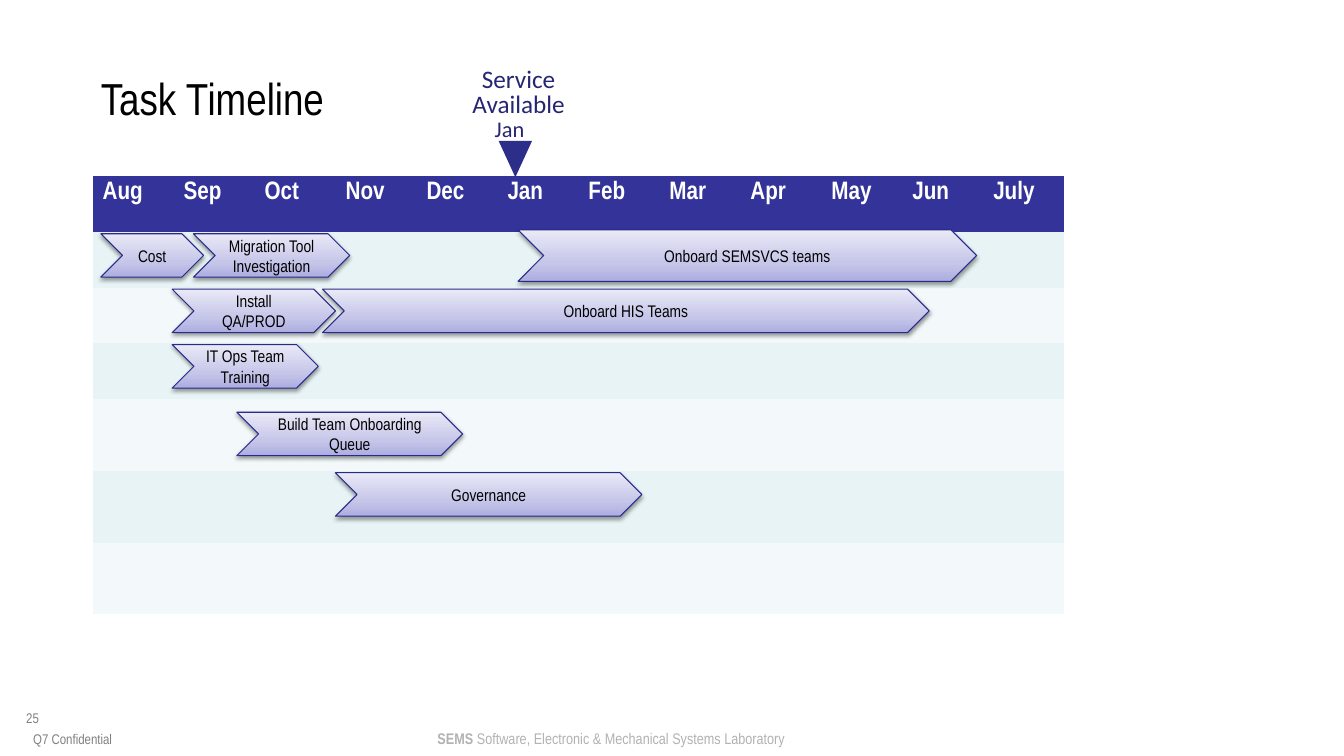
from dataclasses import dataclass

from pptx import Presentation
from pptx.dml.color import RGBColor
from pptx.enum.shapes import MSO_SHAPE
from pptx.enum.text import MSO_ANCHOR, MSO_AUTO_SIZE, PP_ALIGN
from pptx.oxml import parse_xml
from pptx.oxml.ns import nsdecls, qn
from pptx.util import Pt

CHEVRON, TRIANGLE = MSO_SHAPE.CHEVRON, MSO_SHAPE.ISOSCELES_TRIANGLE
TOP, MIDDLE, BOTTOM = MSO_ANCHOR.TOP, MSO_ANCHOR.MIDDLE, MSO_ANCHOR.BOTTOM
LEFT, CENTER = PP_ALIGN.LEFT, PP_ALIGN.CENTER
NO_FIT = MSO_AUTO_SIZE.NONE
NO_STYLE = "{2D5ABB26-0587-4C30-8999-92F81FD0307C}"


@dataclass(frozen=True)
class Theme:
    narrow: str = "Arial Narrow"
    round: str = "Calibri"
    black: str = "000000"
    white: str = "FFFFFF"
    head: str = "333399"
    bands: tuple = ("E7F3F4", "F3F9FA")
    edge: str = "2A2A89"
    mark: str = "2D2D8A"
    note: str = "262673"
    gray: str = "808080"
    pale: str = "B2B2B2"
    blend: tuple = ((0, "ADADE1"), (35, "C6C6E9"), (100, "E9E9F7"))
    title: int = 32
    month: int = 18
    date: int = 16
    task: int = 12
    lab: int = 11
    foot: int = 10


T = Theme()

TITLE = "Task Timeline"
MONTHS = ["Aug", "Sep", "Oct", "Nov", "Dec", "Jan",
          "Feb", "Mar", "Apr", "May", "Jun", "July"]
ROWS = [39.7] * 4 + [51.4] * 3
GRID = (66.2, 126, 694.1, sum(ROWS))

# Lane: top, height, then tasks as (name, left, width)
LANES = [
    (167, 31, [("Cost", 72, 73.4), ("Migration Tool Investigation", 138.2, 111.6)]),
    (164.2, 36.7, [("Onboard SEMSVCS teams", 370, 327.6)]),
    (206.6, 31, [("Install QA/PROD", 123, 116.6), ("Onboard HIS Teams", 230.4, 433.4)]),
    (246.2, 31, [("IT Ops Team Training", 123, 104.4)]),
    (294.5, 31, [("Build Team Onboarding Queue", 169.2, 161.3)]),
    (337.7, 31, [("Governance", 239.6, 218.9)]),
]

# Label: box, runs as (text, bold), font, size, colour, align, anchor, side inset, wrap, spacing
LABELS = [
    ((319.7, 49, 101.5, 35.3), [("Service Available", False)],
     T.round, T.month, T.note, CENTER, BOTTOM, 7.2, True, 0.8),
    ((346.3, 82.1, 35.3, 19.4), [("Jan", False)],
     T.round, T.date, T.note, LEFT, TOP, 7.2, False, 1),
    ((18.7, 506.9, 51.1, 18), [("25", False)],
     T.narrow, T.foot, T.gray, LEFT, TOP, 0, True, 1),
    ((7.9, 517.7, 87.8, 15.8), [("Q7 Confidential", False)],
     T.narrow, T.foot, T.gray, CENTER, BOTTOM, 0, True, 1),
    ((312.5, 520.6, 252, 13.7),
     [("SEMS", True), (" Software, Electronic & Mechanical Systems Laboratory", False)],
     T.narrow, T.lab, T.pale, LEFT, TOP, 0, False, 1),
]


def rgb(code):
    return RGBColor.from_string(code)


def place(box):
    return [Pt(n) for n in box]


def write(frame, runs, font, size, color, align=LEFT):
    para = frame.paragraphs[0]
    para.alignment = align
    for text, bold in runs:
        run = para.add_run()
        run.text = text
        run.font.name, run.font.size, run.font.bold = font, Pt(size), bold
        run.font.color.rgb = rgb(color)
    return para


def set_frame(frame, anchor, side=0, wrap=True):
    frame.margin_left = frame.margin_right = Pt(side)
    frame.margin_top = frame.margin_bottom = 0
    frame.vertical_anchor, frame.word_wrap = anchor, wrap
    frame.auto_size = NO_FIT


def add_title(slide):
    title = slide.shapes.title
    title.left, title.top, title.width, title.height = place((72, 49, 864, 41.8))
    set_frame(title.text_frame, MIDDLE)
    write(title.text_frame, [(TITLE, False)], T.narrow, T.title, T.black)


def add_grid(slide):
    frame = slide.shapes.add_table(len(ROWS), len(MONTHS), *place(GRID))
    table = frame.table
    table.first_row = table.horz_banding = False
    table._tbl.tblPr.find(qn("a:tableStyleId")).text = NO_STYLE
    for col in table.columns:
        col.width = Pt(GRID[2] / len(MONTHS))
    for i, (row, height) in enumerate(zip(table.rows, ROWS)):
        row.height = Pt(height)
        for cell in row.cells:
            cell.fill.solid()
            cell.fill.fore_color.rgb = rgb(T.bands[(i - 1) % 2] if i else T.head)
    for cell, month in zip(table.rows[0].cells, MONTHS):
        write(cell.text_frame, [(month, True)], T.narrow, T.month, T.white)


def add_task(slide, name, box):
    task = slide.shapes.add_shape(CHEVRON, *place(box))
    stops = "".join(f'<a:gs pos="{pos * 1000}"><a:srgbClr val="{code}"/></a:gs>'
                    for pos, code in T.blend)
    props = task._element.spPr
    props.find(qn("a:prstGeom")).addnext(parse_xml(
        f'<a:gradFill {nsdecls("a")} rotWithShape="1"><a:gsLst>{stops}</a:gsLst>'
        '<a:lin ang="16200000" scaled="0"/></a:gradFill>'))
    task.line.color.rgb = rgb(T.edge)
    task.line.width = Pt(0.75)
    task.shadow.inherit = False
    props.find(qn("a:effectLst")).append(parse_xml(
        f'<a:outerShdw {nsdecls("a")} blurRad="{Pt(3.1)}" dist="{Pt(1.6)}" '
        f'dir="5400000" rotWithShape="0"><a:srgbClr val="{T.black}">'
        '<a:alpha val="38000"/></a:srgbClr></a:outerShdw>'))
    task.text_frame.vertical_anchor = MIDDLE
    task.text_frame.word_wrap = True
    write(task.text_frame, [(name, False)], T.narrow, T.task, T.black, CENTER)


def add_mark(slide):
    mark = slide.shapes.add_shape(TRIANGLE, *place((356.2, 100.7, 23.8, 25.9)))
    mark.rotation = 180
    mark.shadow.inherit = False
    mark.fill.solid()
    mark.fill.fore_color.rgb = rgb(T.mark)
    mark.line.fill.background()


def add_label(slide, box, runs, font, size, color, align, anchor, side, wrap, gap):
    frame = slide.shapes.add_textbox(*place(box)).text_frame
    set_frame(frame, anchor, side, wrap)
    write(frame, runs, font, size, color, align).line_spacing = gap


def main():
    deck = Presentation()
    deck.slide_width, deck.slide_height = Pt(960), Pt(540)
    slide = deck.slides.add_slide(deck.slide_layouts[5])
    add_title(slide)
    add_grid(slide)
    for top, height, tasks in LANES:
        for name, left, width in tasks:
            add_task(slide, name, (left, top, width, height))
    add_mark(slide)
    for label in LABELS:
        add_label(slide, *label)
    deck.save("out.pptx")


if __name__ == "__main__":
    main()
